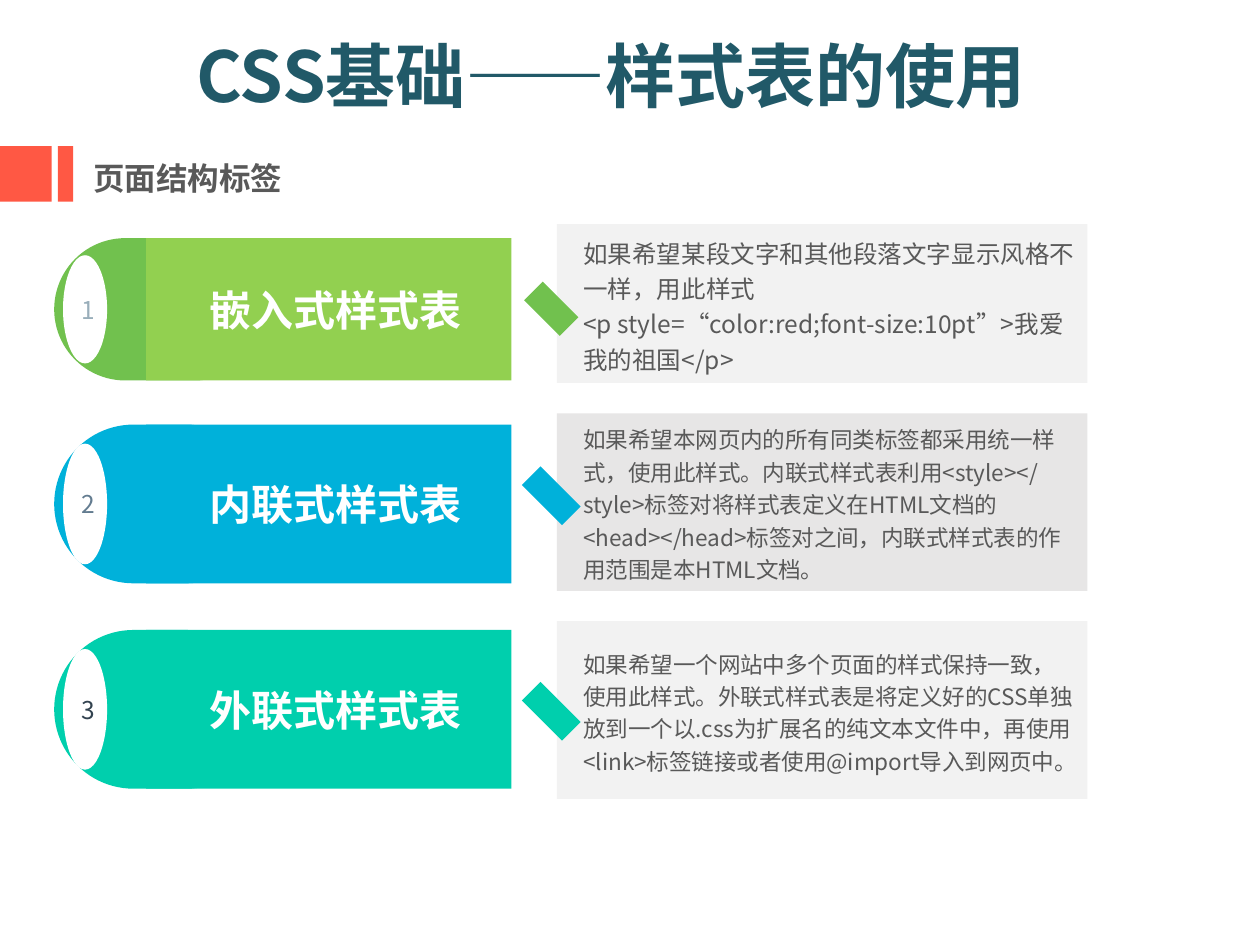
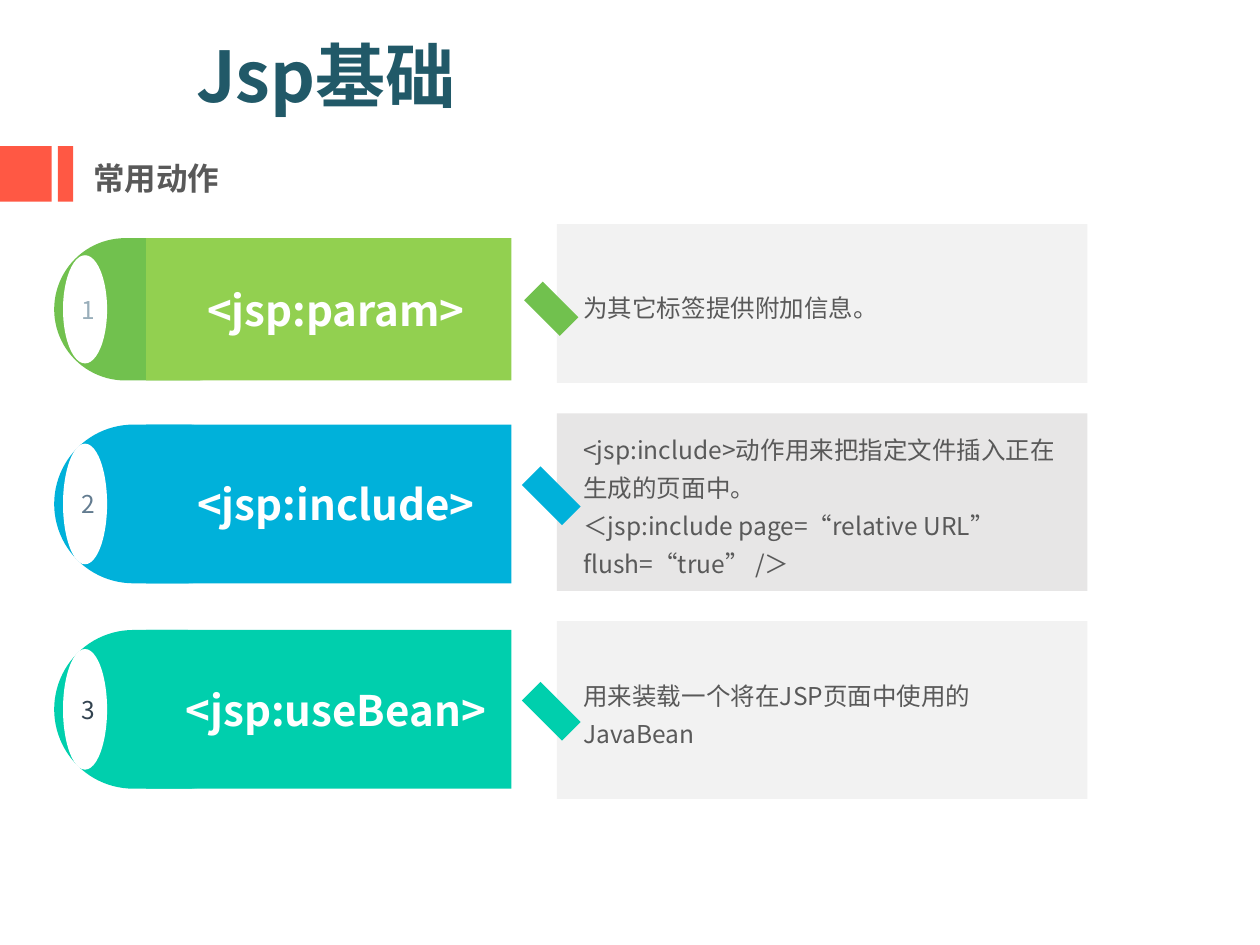
from dataclasses import dataclass

from lxml import etree
from pptx import Presentation
from pptx.dml.color import RGBColor
from pptx.enum import shapes, text
from pptx.oxml import ns
from pptx.util import Inches, Pt

FONT = "Noto Sans CJK SC"
WHITE = RGBColor(0xFF, 0xFF, 0xFF)
TITLE = RGBColor(0x21, 0x59, 0x68)
BODY = RGBColor(0x59, 0x59, 0x59)
ACCENT = RGBColor(0xFF, 0x58, 0x44)
PALE = RGBColor(0xF2, 0xF2, 0xF2)
GREY = RGBColor(0xE7, 0xE6, 0xE6)
GREEN = RGBColor(0x71, 0xC1, 0x4E)
LIME = RGBColor(0x92, 0xD0, 0x50)
BLUE = RGBColor(0x00, 0xB1, 0xDA)
TEAL = RGBColor(0x00, 0xCF, 0xAD)

RECT = shapes.MSO_SHAPE.RECTANGLE
ROUND = shapes.MSO_SHAPE.ROUNDED_RECTANGLE
OVAL = shapes.MSO_SHAPE.OVAL
CENTER = text.PP_ALIGN.CENTER


@dataclass
class Row:
    """Places and colours of one numbered row, lengths in inches."""
    top: float
    height: float
    panel_top: float
    panel_height: float
    tick_top: float
    tick_height: float
    cap: RGBColor
    band: RGBColor
    panel: RGBColor
    digit: RGBColor


ROWS = [
    Row(1.89, 1.13, 1.78, 1.26, 2.25, 0.4, GREEN, LIME, PALE, RGBColor(0x99, 0xAE, 0xBA)),
    Row(3.37, 1.26, 3.28, 1.41, 3.71, 0.45, BLUE, BLUE, GREY, RGBColor(0x63, 0x7C, 0x90)),
    Row(5, 1.26, 4.93, 1.41, 5.42, 0.45, TEAL, TEAL, PALE, RGBColor(0x32, 0x42, 0x4F)),
]

SLIDES = [
    ("CSS基础——样式表的使用", "页面结构标签", 1.2, [
        ("嵌入式样式表", 14,
         "如果希望某段文字和其他段落文字显示风格不一样，用此样式\n"
         "<p style=“color:red;font-size:10pt”>我爱我的祖国</p>"),
        ("内联式样式表", 12.9,
         "如果希望本网页内的所有同类标签都采用统一样式，使用此样式。"
         "内联式样式表利用<style></style>标签对将样式表定义在HTML文档的"
         "<head></head>标签对之间，内联式样式表的作用范围是本HTML文档。"),
        ("外联式样式表", 12.9,
         "如果希望一个网站中多个页面的样式保持一致，使用此样式。"
         "外联式样式表是将定义好的CSS单独放到一个以.css为扩展名的纯文本文件中，"
         "再使用<link>标签链接或者使用@import导入到网页中。"),
    ]),
    ("Jsp基础", "常用动作", 1.3, [
        ("<jsp:param>", 14, "为其它标签提供附加信息。"),
        ("<jsp:include>", 14,
         "<jsp:include>动作用来把指定文件插入正在生成的页面中。\n"
         "＜jsp:include page=“relative URL” flush=“true” /＞"),
        ("<jsp:useBean>", 14, "用来装载一个将在JSP页面中使用的JavaBean"),
    ]),
]


class Deck:
    def __init__(self):
        self.prs = Presentation()
        self.prs.slide_width, self.prs.slide_height = Inches(10), Inches(7.5)
        self.s = None

    def new_slide(self, title, heading):
        self.s = self.prs.slides.add_slide(self.prs.slide_layouts[6])
        self.shape(RECT, 0, 1.16, 0.41, 0.44, ACCENT)
        self.shape(RECT, 0.46, 1.16, 0.12, 0.44, ACCENT)
        self.label(heading, 0.64, 1.21, 3.11, 0.4, 18, BODY)
        self.label(title, 1.46, 0.21, 7.56, 0.77, 40, TITLE)

    def shape(self, kind, x, y, w, h, fill):
        sp = self.s.shapes.add_shape(kind, Inches(x), Inches(y), Inches(w), Inches(h))
        sp.shadow.inherit = False
        sp.fill.solid()
        sp.fill.fore_color.rgb = fill
        sp.line.fill.background()
        return sp

    def set_text(self, sp, words, size, color, bold=False, align=text.PP_ALIGN.LEFT,
                 spacing=None, left=0.1, anchor=text.MSO_ANCHOR.MIDDLE):
        tf = sp.text_frame
        tf.word_wrap = True
        tf.vertical_anchor = anchor
        tf.margin_left = Inches(left)
        tf.text = words
        for p in tf.paragraphs:
            p.alignment = align
            p.line_spacing = spacing
            for r in p.runs:
                r.font.size, r.font.bold, r.font.name = Pt(size), bold, FONT
                r.font.color.rgb = color
                ea = etree.SubElement(r.font._element, ns.qn("a:ea"))
                ea.set("typeface", FONT)

    def label(self, words, x, y, w, h, size, color):
        box = self.s.shapes.add_textbox(Inches(x), Inches(y), Inches(w), Inches(h))
        self.set_text(box, words, size, color, bold=True, anchor=text.MSO_ANCHOR.TOP)
        box.text_frame.auto_size = text.MSO_AUTO_SIZE.SHAPE_TO_FIT_TEXT

    def row(self, number, row, name, size, detail, spacing):
        panel = self.shape(RECT, 4.42, row.panel_top, 4.21, row.panel_height, row.panel)
        self.set_text(panel, detail, size, BODY, spacing=spacing, left=0.21)
        tick = self.shape(RECT, 4.27, row.tick_top, 0.21, row.tick_height, row.cap)
        tick.rotation = 315

        cap = self.shape(ROUND, 0.43, row.top, 1.68, row.height, row.cap)
        cap.adjustments[0] = 0.5
        badge_height = row.height * 0.76
        badge_top = row.top + (row.height - badge_height) / 2
        badge = self.shape(OVAL, 0.5, badge_top, 0.35, badge_height, WHITE)
        self.set_text(badge, str(number), 14, row.digit, align=CENTER)

        band = self.shape(RECT, 1.16, row.top, 2.9, row.height, row.band)
        self.set_text(band, name, 24, WHITE, bold=True, align=CENTER, left=0.21)


def main():
    deck = Deck()
    for title, heading, spacing, entries in SLIDES:
        deck.new_slide(title, heading)
        for number, (row, entry) in enumerate(zip(ROWS, entries), 1):
            deck.row(number, row, *entry, spacing)
    deck.prs.save("out.pptx")


if __name__ == "__main__":
    main()
